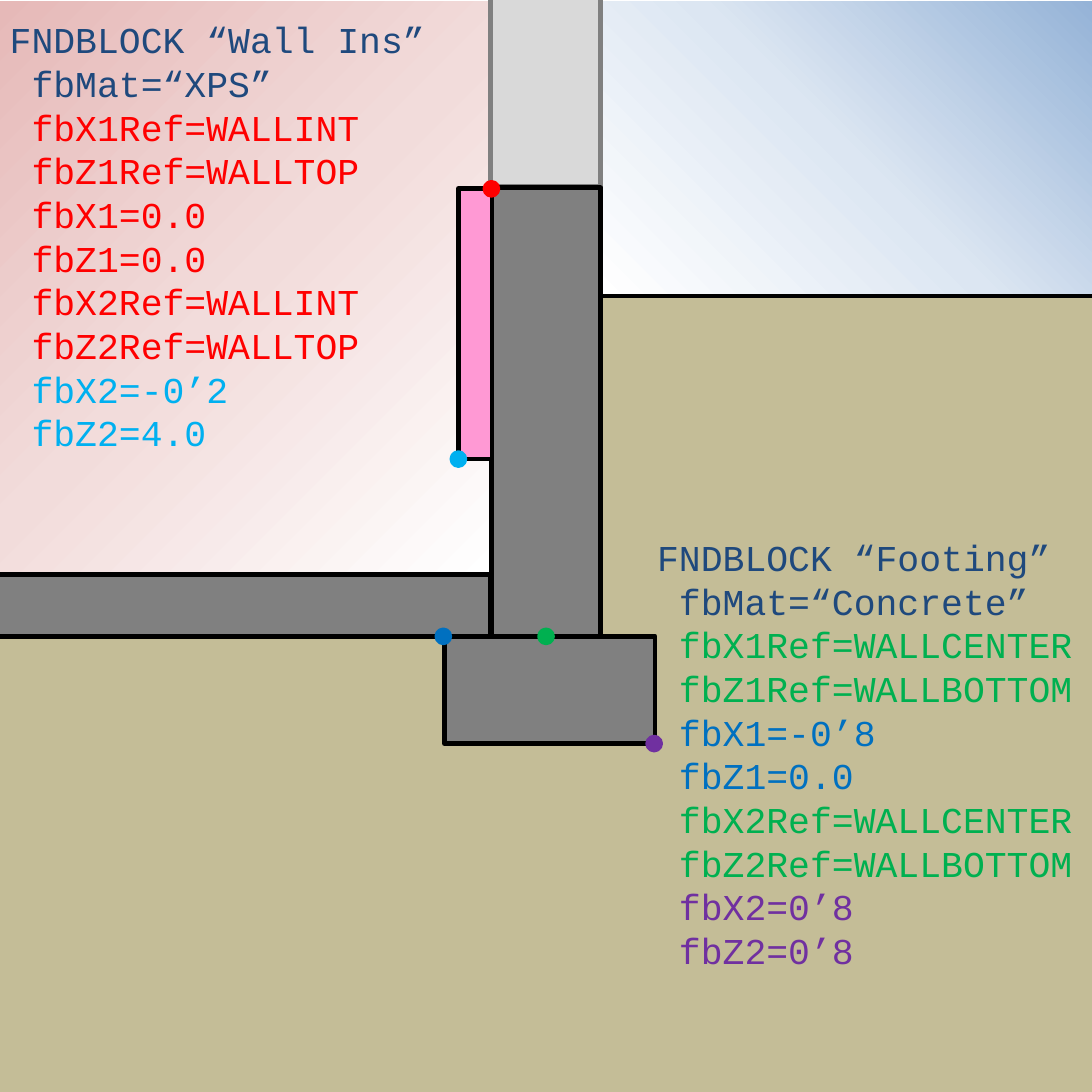
from copy import deepcopy
from pptx import Presentation
from pptx.dml.color import RGBColor as RGB
from pptx.enum.shapes import MSO_CONNECTOR as Link, MSO_SHAPE as Kind
from pptx.enum.text import PP_ALIGN as Align
from pptx.oxml.ns import qn
from pptx.util import Pt

HUES = {
    "black": "000000", "white": "FFFFFF", "gray": "808080", "pale": "D9D9D9",
    "soil": "C4BD97", "pink": "FF99D4", "navy": "1F497D", "red": "FF0000",
    "cyan": "00B0F0", "green": "00B050", "blue": "0070C0", "plum": "7030A0",
    "sky": "95B3D7", "mist": "DCE6F2", "rose": "E6B9B8", "blush": "F2DCDB",
}

# Levels and faces of the wall
SIDE = 720
INNER, OUTER = 324, 396
TOP, GRADE, FLOOR, BASE = 123.8, 195.1, 378.7, 419.6
FOOT = (293, BASE, 432, 490.3)
PANEL = (302.2, 124.2, 324.4, 302.7)

# Washes: edges, three colours, counter-clockwise angle
SKY = ((OUTER, 0.7, SIDE, GRADE), ("sky", "mist", "white"), 225)
ROOM = ((0, 0.7, INNER, FLOOR), ("white", "blush", "rose"), 135)

# Solid parts, back to front: edges, fill, line
SOIL = ((0, GRADE, SIDE, SIDE), "soil", None)
PARTS = [
    ((323.3, -13.7, OUTER, 123.1), "pale", "gray"),
    ((-108, FLOOR, 323.3, BASE), "gray", "black"),
    ((INNER, TOP, OUTER, BASE), "gray", "black"),
    (PANEL, "pink", "black"),
    (FOOT, "gray", "black"),
]

# Reference points: centre and colour
DOT = 8.64
DOTS = [
    (INNER, TOP + 0.7, "red"), (PANEL[0], PANEL[3], "cyan"),
    (FOOT[0] - 0.7, BASE, "blue"), (FOOT[2] - 0.7, FOOT[3], "plum"),
    ((INNER + OUTER) / 2, BASE, "green"),
]

# Code blocks: left, top, width, height, coloured lines
CODE = [
    (-0.7, 7.9, 288.7, 300, [
        ("navy", ["FNDBLOCK “Wall Ins”", " fbMat=“XPS”"]),
        ("red", [" fbX1Ref=WALLINT", " fbZ1Ref=WALLTOP", " fbX1=0.0",
                 " fbZ1=0.0", " fbX2Ref=WALLINT", " fbZ2Ref=WALLTOP"]),
        ("cyan", [" fbX2=-0’2", " fbZ2=4.0"]),
    ]),
    (426.2, 349.2, 298, 300, [
        ("navy", ["FNDBLOCK “Footing”", " fbMat=“Concrete”"]),
        ("green", [" fbX1Ref=WALLCENTER", " fbZ1Ref=WALLBOTTOM"]),
        ("blue", [" fbX1=-0’8", " fbZ1=0.0"]),
        ("green", [" fbX2Ref=WALLCENTER", " fbZ2Ref=WALLBOTTOM"]),
        ("plum", [" fbX2=0’8", " fbZ2=0’8"]),
    ]),
]
FONT = {"name": "Courier New", "size": Pt(24)}

deck = Presentation()
deck.slide_width = deck.slide_height = Pt(SIDE)
slide = deck.slides.add_slide(deck.slide_layouts[6])
shapes = slide.shapes


def tint(name):
    return RGB.from_string(HUES[name])


def stroke(line, name):
    line.color.rgb = tint(name)
    line.width = Pt(3)


def block(edges, fill=None, line=None, kind=Kind.RECTANGLE):
    x1, y1, x2, y2 = edges
    box = shapes.add_shape(kind, Pt(x1), Pt(y1), Pt(x2 - x1), Pt(y2 - y1))
    box.shadow.inherit = False
    if fill:
        box.fill.solid()
        box.fill.fore_color.rgb = tint(fill)
    if line:
        stroke(box.line, line)
    else:
        box.line.fill.background()
    return box


def wash(edges, names, angle):
    box = block(edges)
    box.fill.gradient()
    box.fill.gradient_angle = angle
    stops = box.element.spPr.find(qn("a:gradFill")).find(qn("a:gsLst"))
    stops.insert(1, deepcopy(stops[0]))
    for i, (stop, name) in enumerate(zip(box.fill.gradient_stops, names)):
        stop.color.rgb = tint(name)
        stop.position = i / 2


# Sky, soil, grade line and room
wash(*SKY)
block(*SOIL)
grade = shapes.add_connector(Link.STRAIGHT, Pt(OUTER), Pt(GRADE), Pt(SIDE), Pt(GRADE))
stroke(grade.line, "black")
spec_pr = grade.element.spPr
spec_pr.append(spec_pr.makeelement(qn("a:effectLst"), {}))
wash(*ROOM)

# Wall, slab, insulation and footing
for part in PARTS:
    block(*part)

# Code
for x, y, w, h, groups in CODE:
    frame = shapes.add_textbox(Pt(x), Pt(y), Pt(w), Pt(h)).text_frame
    frame.word_wrap = True
    rows = [(name, text) for name, texts in groups for text in texts]
    for i, (name, text) in enumerate(rows):
        para = frame.add_paragraph() if i else frame.paragraphs[0]
        para.alignment = Align.LEFT
        run = para.add_run()
        run.text = text
        for key, value in FONT.items():
            setattr(run.font, key, value)
        run.font.color.rgb = tint(name)

# Reference points
for x, y, name in DOTS:
    r = DOT / 2
    block((x - r, y - r, x + r, y + r), name, name, Kind.OVAL)

deck.save("out.pptx")
